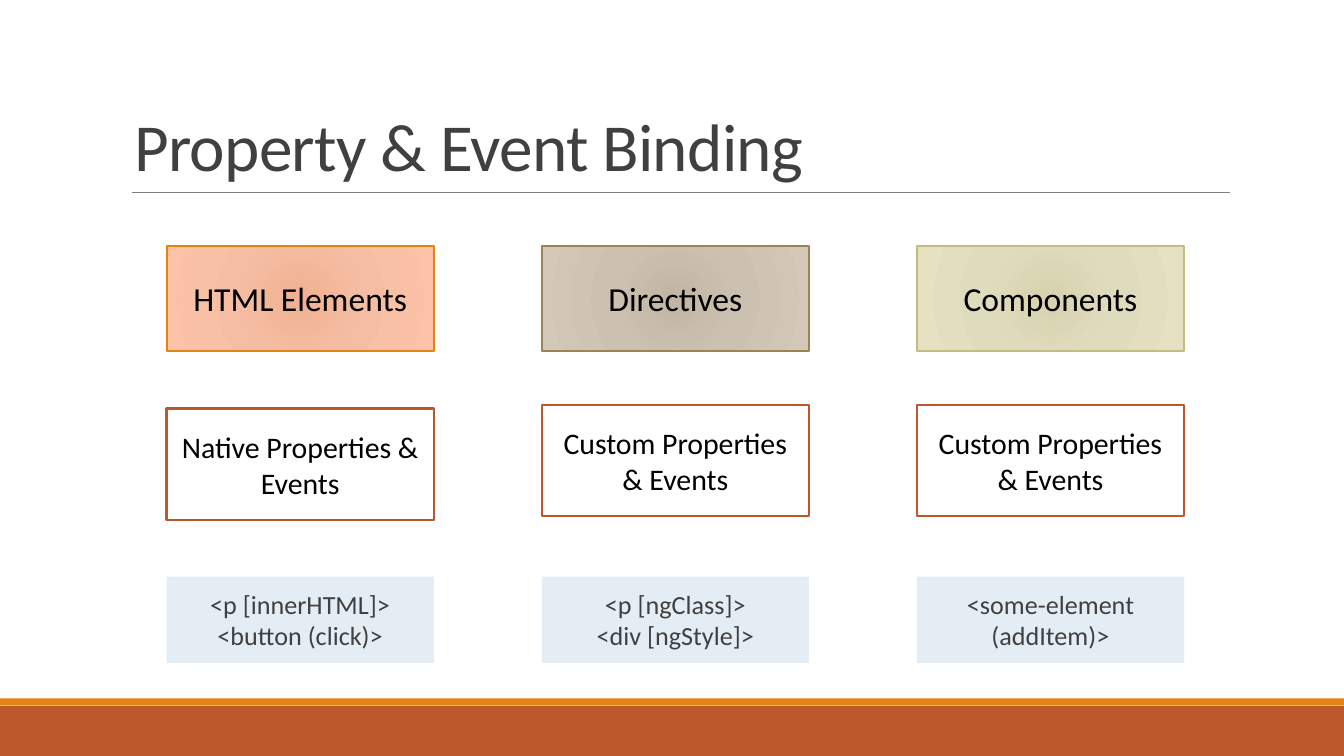
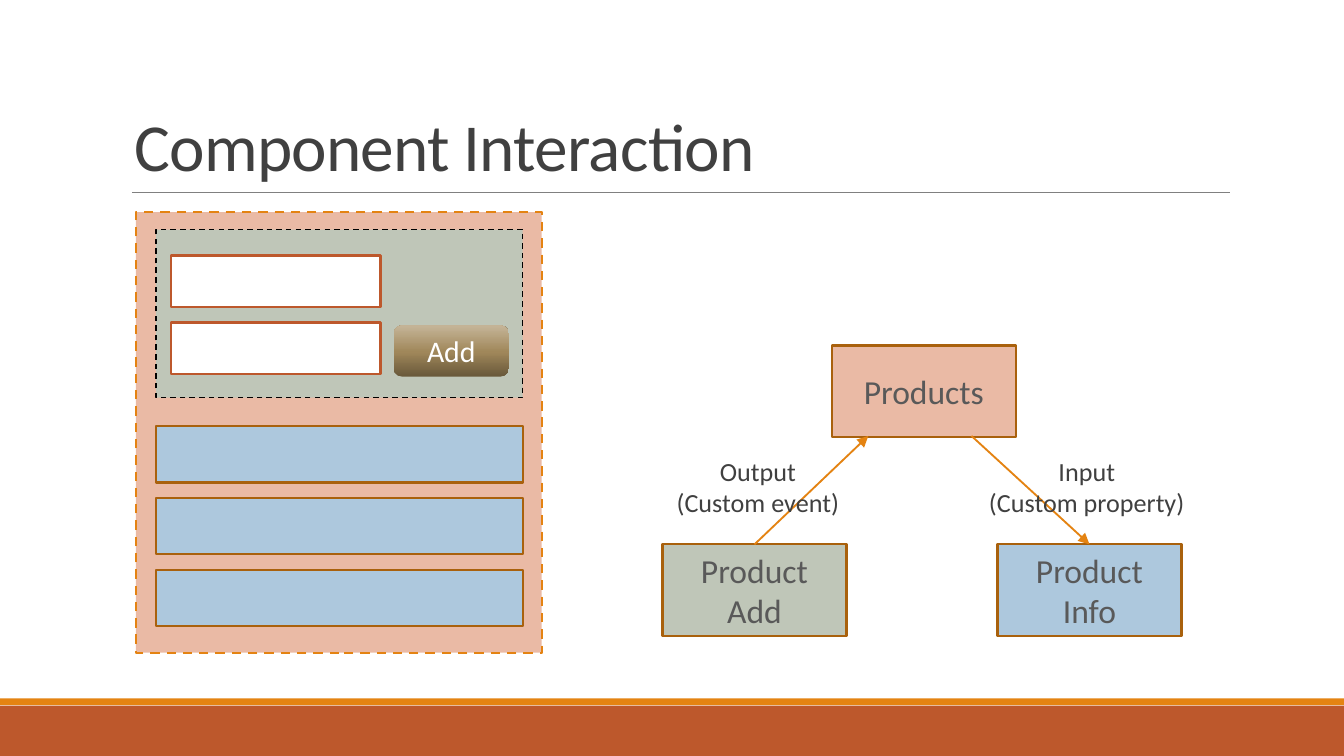
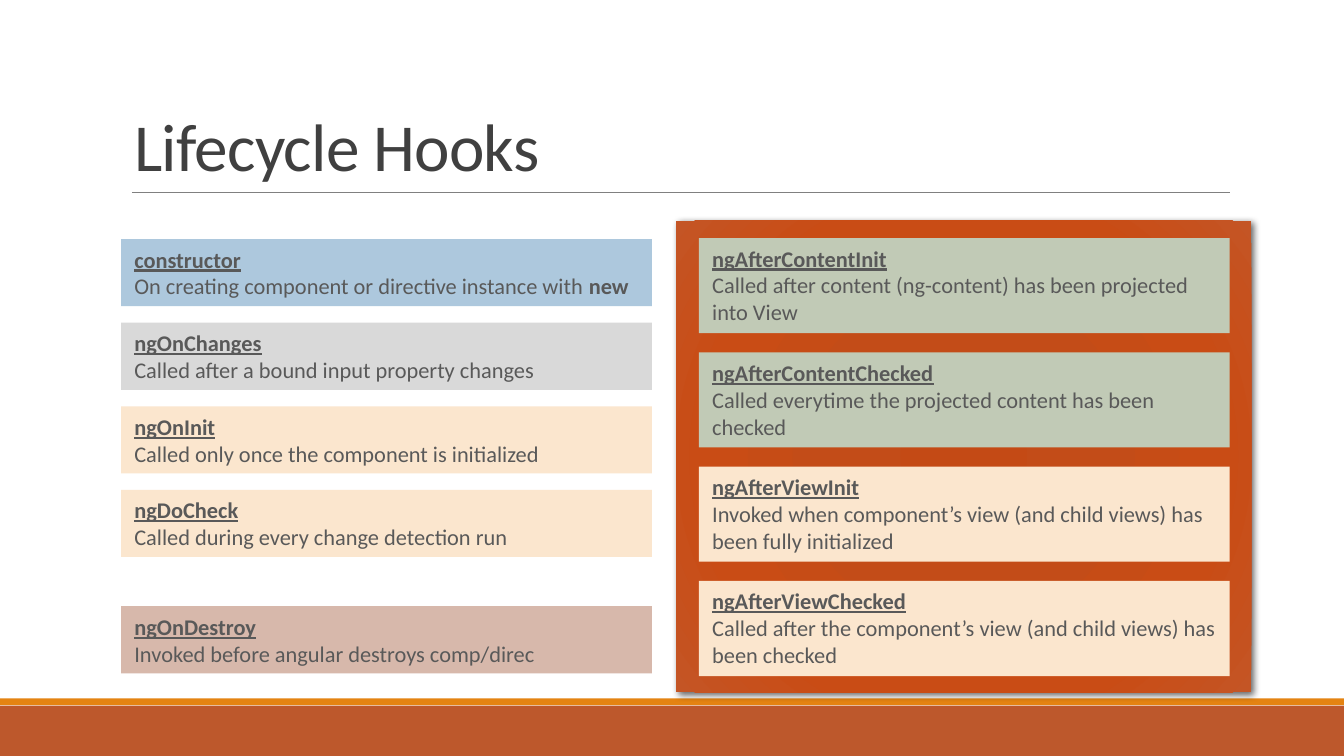
"""Build three slides on component binding, interaction and lifecycle hooks."""
from lxml.etree import SubElement
from pptx import Presentation
from pptx.dml.color import RGBColor
from pptx.enum.dml import MSO_LINE_DASH_STYLE as Dash
from pptx.enum.shapes import MSO_CONNECTOR, MSO_SHAPE as Preset
from pptx.enum.text import MSO_ANCHOR as Anchor, MSO_AUTO_SIZE as AutoSize, PP_ALIGN as Align
from pptx.oxml.ns import qn
from pptx.util import Cm, Pt

FONT = "Calibri"
RUST, ORANGE, BROWN, RULE_GREY = "BD582C", "E48312", "A9610D", "808080"
DARK, GREY, BLACK, WHITE = "404040", "595959", "000000", "FFFFFF"
SALMON, SAGE, BLUE, CREAM = "EABAA5", "BFC6B8", "ADC8DD", "FBE6CE"
PALE_BLUE, SILVER, LEAF, ROSE = "CCDDEA", "D9D9D9", "C1CAB6", "D7B8AB"

BINDINGS = [
    {"target": "HTML Elements", "edge": ORANGE,
     "glow": [(0, "F0B191"), (45, "F5BEA4"), (100, "FDC3A8")],
     "members": "Native Properties & Events", "members_top": 7.72,
     "example": "<p [innerHTML]>\n<button (click)>"},
    {"target": "Directives", "edge": "9B8357",
     "glow": [(0, "C2B5A2"), (45, "CCC1B1"), (100, "D4C8B8")],
     "members": "Custom Properties & Events", "members_top": 7.65,
     "example": "<p [ngClass]>\n<div [ngStyle]>"},
    {"target": "Components", "edge": "C2BC80",
     "glow": [(0, "D7D3AF"), (45, "DFDBBD"), (100, "E5E1C1")],
     "members": "Custom Properties & Events", "members_top": 7.65,
     "example": "<some-element (addItem)>"},
]

COMPONENTS = {
    "products": ("Products", 15.72, 6.53, SALMON),
    "info": ("Product\nInfo", 18.85, 10.29, BLUE),
    "add": ("Product Add", 12.52, 10.29, SAGE),
}
FLOWS = [("Output\n(Custom event)", 12.52, 3.61), ("Input\n(Custom property)", 18.42, 4.24)]
BUTTON_SHADE = [(0, "68583A"), (48, "A0875A"), (100, "C5B598")]

SETUP_HOOKS = [
    ("constructor", "On creating component or directive instance with ", "new", BLUE),
    ("ngOnChanges", "Called after a bound input property changes", "", SILVER),
    ("ngOnInit", "Called only once the component is initialized", "", CREAM),
    ("ngDoCheck", "Called during every change detection run", "", CREAM),
]
DESTROY_HOOK = ("ngOnDestroy", "Invoked before angular destroys comp/direc", "", ROSE)
VIEW_HOOKS = [
    ("ngAfterContentInit",
     "Called after content (ng-content) has been projected into View", "", LEAF),
    ("ngAfterContentChecked", "Called everytime the projected content has been checked", "", LEAF),
    ("ngAfterViewInit",
     "Invoked when component’s view (and child views) has been fully initialized", "", CREAM),
    ("ngAfterViewChecked",
     "Called after the component’s view (and child views) has been checked", "", CREAM),
]
VIEW_GLOW = [(0, "C44A15"), (34, "C34C18"), (70, "C94C15"), (100, "C45525")]


def rgb(code):
    return RGBColor.from_string(code)


def add_node(parent, tag, **attributes):
    return SubElement(parent, qn(tag), {key: str(value) for key, value in attributes.items()})


def write(shape, text, size=18, color=BLACK, align=Align.CENTER, anchor=Anchor.MIDDLE,
          wrap=True, grow=False, line_spacing=None, tracking=None):
    """Fill a shape with text: one string, or paragraphs of (text, bold, underline) runs."""
    frame = shape.text_frame
    frame.word_wrap = wrap
    frame.vertical_anchor = anchor
    frame.auto_size = AutoSize.SHAPE_TO_FIT_TEXT if grow else AutoSize.NONE
    if isinstance(text, str):
        text = [[(line, False, False)] for line in text.split("\n")]
    for index, pieces in enumerate(text):
        paragraph = frame.add_paragraph() if index else frame.paragraphs[0]
        paragraph.alignment = align
        if line_spacing:
            paragraph.line_spacing = line_spacing
        for words, bold, underline in pieces:
            run = paragraph.add_run()
            run.text = words
            font = run.font
            font.name, font.size, font.bold, font.underline = FONT, Pt(size), bold, underline
            font.color.rgb = rgb(color)
            if tracking:
                run._r.get_or_add_rPr().set("spc", str(tracking))


def shade(shape, stops, angle=None):
    """Give a shape a gradient: linear at an angle, circular without one."""
    shape.fill.background()
    properties = shape._element.spPr
    plain = properties.find(qn("a:noFill"))
    gradient = add_node(properties, "a:gradFill", rotWithShape=1)
    properties.replace(plain, gradient)
    stop_list = add_node(gradient, "a:gsLst")
    for position, color in stops:
        add_node(add_node(stop_list, "a:gs", pos=position * 1000), "a:srgbClr", val=color)
    if angle is None:
        circle = add_node(gradient, "a:path", path="circle")
        add_node(circle, "a:fillToRect", l=100000, t=100000, r=100000, b=100000)
    else:
        add_node(gradient, "a:lin", ang=angle * 60000, scaled=0)


def add_box(slide, left, top, width, height, fill, edge=None, weight=1.25, dash=None,
            preset=Preset.RECTANGLE, alpha=None, angle=None):
    """Add a filled shape; a list as fill holds gradient stops."""
    box = slide.shapes.add_shape(preset, Cm(left), Cm(top), Cm(width), Cm(height))
    box.shadow.inherit = False
    if isinstance(fill, str):
        box.fill.solid()
        box.fill.fore_color.rgb = rgb(fill)
    else:
        shade(box, fill, angle)
    if alpha:
        color = box._element.spPr.find(f"{qn('a:solidFill')}/{qn('a:srgbClr')}")
        add_node(color, "a:alpha", val=alpha * 1000)
    if edge:
        box.line.color.rgb = rgb(edge)
        box.line.width = Pt(weight)
        if dash:
            box.line.dash_style = dash
    else:
        box.line.fill.background()
    return box


def add_line(slide, start, end, color, weight, arrow=False):
    line = slide.shapes.add_connector(MSO_CONNECTOR.STRAIGHT, *map(Cm, start + end))
    line.line.color.rgb = rgb(color)
    line.line.width = Pt(weight)
    if arrow:
        add_node(line.line._get_or_add_ln(), "a:tailEnd", type="triangle")
    add_node(line._element.spPr, "a:effectLst")
    return line


def add_label(slide, text, left, top, width, height, **style):
    label = slide.shapes.add_textbox(Cm(left), Cm(top), Cm(width), Cm(height))
    write(label, text, **style)


def start_slide(deck, title):
    """Add a blank slide with the shared bands, rule and title."""
    slide = deck.slides.add_slide(deck.slide_layouts[6])
    add_box(slide, 0, 13.34, 25.4, 0.95, RUST)
    add_box(slide, 0, 13.2, 25.4, 0.13, ORANGE)
    add_line(slide, (2.49, 3.63), (23.24, 3.63), RULE_GREY, 0.5)
    add_label(slide, title, 2.29, 0.61, 20.96, 3.02, size=36, color=DARK, align=Align.LEFT,
              anchor=Anchor.BOTTOM, line_spacing=0.85, tracking=-40)
    return slide


def build_bindings(deck):
    slide = start_slide(deck, "Property & Event Binding")
    width = 5.05
    for column, binding in enumerate(BINDINGS):
        left = 3.15 + column * 7.09
        target = add_box(slide, left, 4.65, width, 1.98, binding["glow"], binding["edge"], 1)
        write(target, binding["target"])
        members = add_box(slide, left, binding["members_top"], width, 2.11, WHITE, RUST)
        write(members, binding["members"], size=16)
        example = add_box(slide, left, 10.9, width, 1.63, PALE_BLUE, alpha=50)
        write(example, binding["example"], size=14, color=DARK)


def build_interaction(deck):
    slide = start_slide(deck, "Component Interaction")
    add_box(slide, 2.57, 4.01, 7.67, 8.33, SALMON, ORANGE, dash=Dash.DASH)
    add_box(slide, 2.95, 4.34, 6.93, 3.18, SAGE, BLACK, 0.75, Dash.DASH)
    for field in range(2):
        add_box(slide, 3.23, 4.83 + field * 1.27, 3.96, 0.97, WHITE, RUST)
    button = add_box(slide, 7.44, 6.15, 2.18, 0.97, BUTTON_SHADE,
                     preset=Preset.ROUNDED_RECTANGLE, angle=270)
    write(button, "Add", size=16, color=WHITE)
    for product in range(3):
        add_box(slide, 2.95, 8.05 + product * 1.36, 6.93, 1.07, BLUE, BROWN)

    nodes = {}
    for key, (name, left, top, fill) in COMPONENTS.items():
        nodes[key] = add_box(slide, left, top, 3.48, 1.73, fill, BROWN)
        write(nodes[key], name, color=GREY)
    output = add_line(slide, (14.26, 10.29), (16.41, 8.24), ORANGE, 1, arrow=True)
    output.begin_connect(nodes["add"], 0)
    entry = add_line(slide, (18.36, 8.24), (20.59, 10.29), ORANGE, 1, arrow=True)
    entry.end_connect(nodes["info"], 0)
    for flow, left, width in FLOWS:
        add_label(slide, flow, left, 8.48, width, 1.45, size=14, color=DARK,
                  anchor=Anchor.TOP, wrap=False, grow=True)


def add_hook(slide, hook, left, top, height):
    name, moment, keyword, fill = hook
    sentence = [(moment, False, False)]
    if keyword:
        sentence.append((keyword, True, False))
    card = add_box(slide, left, top, 10.03, height, fill)
    write(card, [[(name, True, True)], sentence], size=12, color=GREY,
          align=Align.LEFT, anchor=Anchor.TOP, grow=True)


def build_hooks(deck):
    slide = start_slide(deck, "Lifecycle Hooks")
    view_panel = add_box(slide, 12.78, 4.17, 10.87, 8.92, VIEW_GLOW)
    effects = view_panel._element.spPr.find(qn("a:effectLst"))
    shadow = add_node(effects, "a:outerShdw", blurRad=Pt(3.5), dist=Pt(2), dir=45 * 60000,
                      algn="tl", rotWithShape=0)
    add_node(add_node(shadow, "a:srgbClr", val=BLACK), "a:alpha", val=60000)
    for row, hook in enumerate(SETUP_HOOKS):
        add_hook(slide, hook, 2.29, 4.52 + row * 1.58, 1.27)
    add_hook(slide, DESTROY_HOOK, 2.29, 11.46, 1.27)
    for row, hook in enumerate(VIEW_HOOKS):
        add_hook(slide, hook, 13.21, 4.5 + row * 2.16, 1.8)


def main():
    deck = Presentation()
    deck.slide_width, deck.slide_height = Cm(25.4), Cm(14.29)
    build_bindings(deck)
    build_interaction(deck)
    build_hooks(deck)
    deck.save("out.pptx")


if __name__ == "__main__":
    main()
